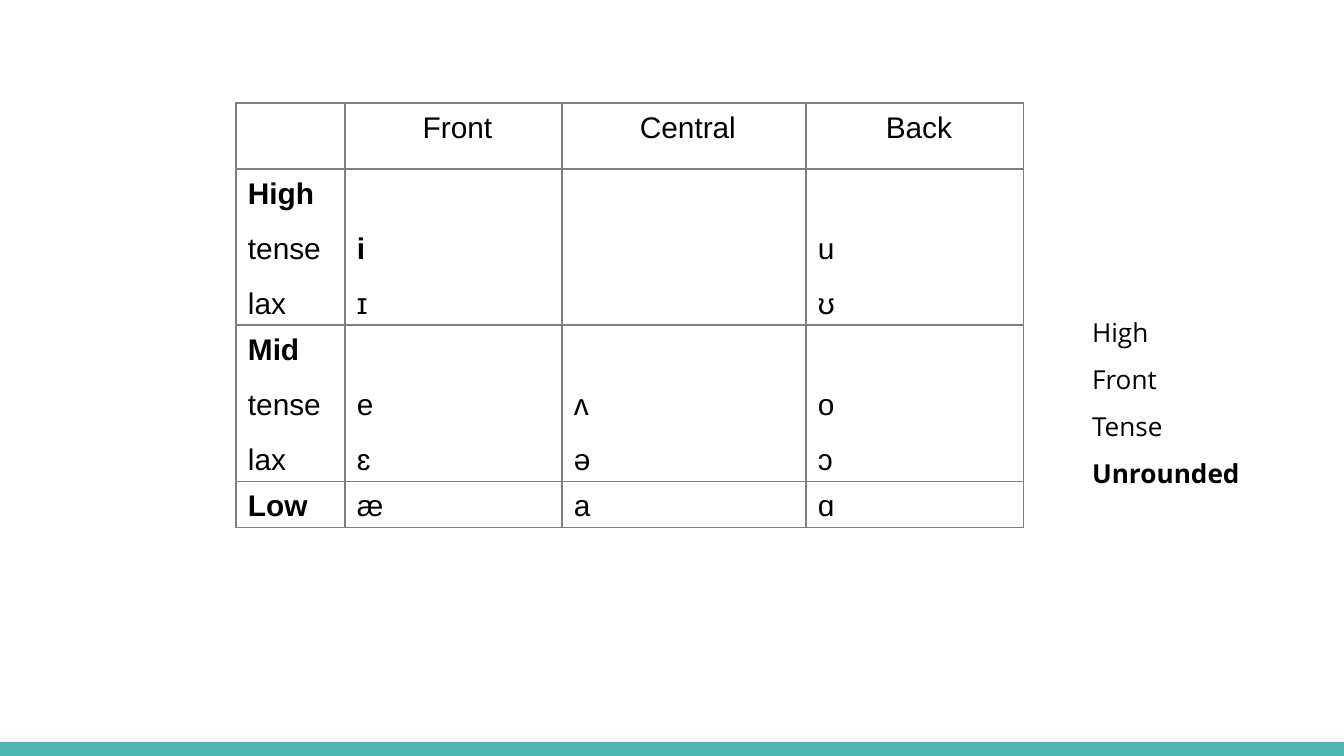
from typing import NamedTuple

from lxml.etree import SubElement
from pptx import Presentation
from pptx.dml.color import RGBColor
from pptx.enum.shapes import MSO_SHAPE as Shape
from pptx.enum.text import MSO_ANCHOR as Anchor, PP_ALIGN as Align
from pptx.oxml.ns import qn
from pptx.util import Emu, Pt

EMU_PER_PX = 914400 / 134.4
WIDTH, HEIGHT = 1344, 756
BLACK, GREY, TEAL = "000000", "808080", "4DB6AC"


class Entry(NamedTuple):
    """Lines of one table cell, some of them bold."""
    lines: tuple[str, ...] = ()
    bold: tuple[str, ...] = ()


class Row(NamedTuple):
    height: int
    entries: tuple[Entry, ...]
    anchor: Anchor = Anchor.TOP
    align: Align = Align.LEFT


COLUMN_WIDTHS = (109, 217, 244, 218)
ROWS = (
    Row(66, (Entry(), Entry(("Front",)), Entry(("Central",)), Entry(("Back",))),
        align=Align.CENTER),
    Row(155, (Entry(("High", "tense", "lax"), ("High",)), Entry(("i", "ɪ"), ("i",)),
              Entry(), Entry(("u", "ʊ"))), Anchor.BOTTOM),
    Row(156, (Entry(("Mid", "tense", "lax"), ("Mid",)), Entry(("e", "ɛ")),
              Entry(("ʌ", "ə")), Entry(("o", "ɔ"))), Anchor.BOTTOM),
    Row(45, (Entry(("Low",), ("Low",)), Entry(("æ",)), Entry(("a",)), Entry(("ɑ",)))),
)
FEATURES = Entry(("High", "Front", "Tense", "Unrounded"), ("Unrounded",))


def px(length: int) -> Emu:
    return Emu(round(length * EMU_PER_PX))


def color(value: str) -> RGBColor:
    return RGBColor.from_string(value)


def write_lines(frame, entry: Entry, font: str, size: int, spacing: float,
                gap: int = 0, align: Align = Align.LEFT, indent: int = 0) -> None:
    frame.text = "\n".join(entry.lines)
    for index, para in enumerate(frame.paragraphs):
        para.alignment = align
        para.line_spacing = spacing
        if index and gap:
            para.space_before = Pt(gap)
        if indent:
            para._p.get_or_add_pPr().set("marL", str(px(indent)))
        para.font.name = font
        para.font.size = Pt(size)
        for run in para.runs:
            run.font.name = font
            run.font.size = Pt(size)
            run.font.bold = run.text in entry.bold
            run.font.color.rgb = color(BLACK)


def add_borders(cell) -> None:
    properties = cell._tc.get_or_add_tcPr()
    for side in ("lnL", "lnR", "lnT", "lnB"):
        line = SubElement(properties, qn(f"a:{side}"), w=str(Pt(0.75)))
        fill = SubElement(line, qn("a:solidFill"))
        SubElement(fill, qn("a:srgbClr"), val=GREY)


def add_vowel_table(slide, left: int, top: int) -> None:
    width, height = sum(COLUMN_WIDTHS), sum(row.height for row in ROWS)
    table = slide.shapes.add_table(len(ROWS), len(COLUMN_WIDTHS), px(left), px(top),
                                   px(width), px(height)).table
    table.first_row = table.horz_banding = False
    for column, column_width in zip(table.columns, COLUMN_WIDTHS):
        column.width = px(column_width)
    for row_index, row in enumerate(ROWS):
        table.rows[row_index].height = px(row.height)
        for column_index, entry in enumerate(row.entries):
            cell = table.cell(row_index, column_index)
            add_borders(cell)
            cell.fill.background()
            cell.margin_left = cell.margin_right = px(4)
            cell.margin_top = cell.margin_bottom = px(4)
            cell.vertical_anchor = row.anchor
            write_lines(cell.text_frame, entry, "Arial", 16, 1.15,
                        gap=9, align=row.align, indent=8)


def add_features(slide, left: int, top: int, width: int, height: int) -> None:
    box = slide.shapes.add_textbox(px(left), px(top), px(width), px(height))
    frame = box.text_frame
    frame.word_wrap = True
    frame.margin_left = frame.margin_right = px(13)
    frame.margin_top = frame.margin_bottom = px(13)
    write_lines(frame, FEATURES, "Open Sans", 14, 1.5)


def add_footer_bar(slide, height: int) -> None:
    bar = slide.shapes.add_shape(Shape.RECTANGLE, 0, px(HEIGHT - height),
                                 px(WIDTH), px(height))
    bar.shadow.inherit = False
    bar.fill.solid()
    bar.fill.fore_color.rgb = color(TEAL)
    bar.line.fill.background()


def main() -> None:
    deck = Presentation()
    deck.slide_width, deck.slide_height = px(WIDTH), px(HEIGHT)
    slide = deck.slides.add_slide(deck.slide_layouts[6])
    add_footer_bar(slide, 14)
    add_vowel_table(slide, 236, 103)
    add_features(slide, 1079, 288, 212, 82)
    deck.save("out.pptx")


if __name__ == "__main__":
    main()
